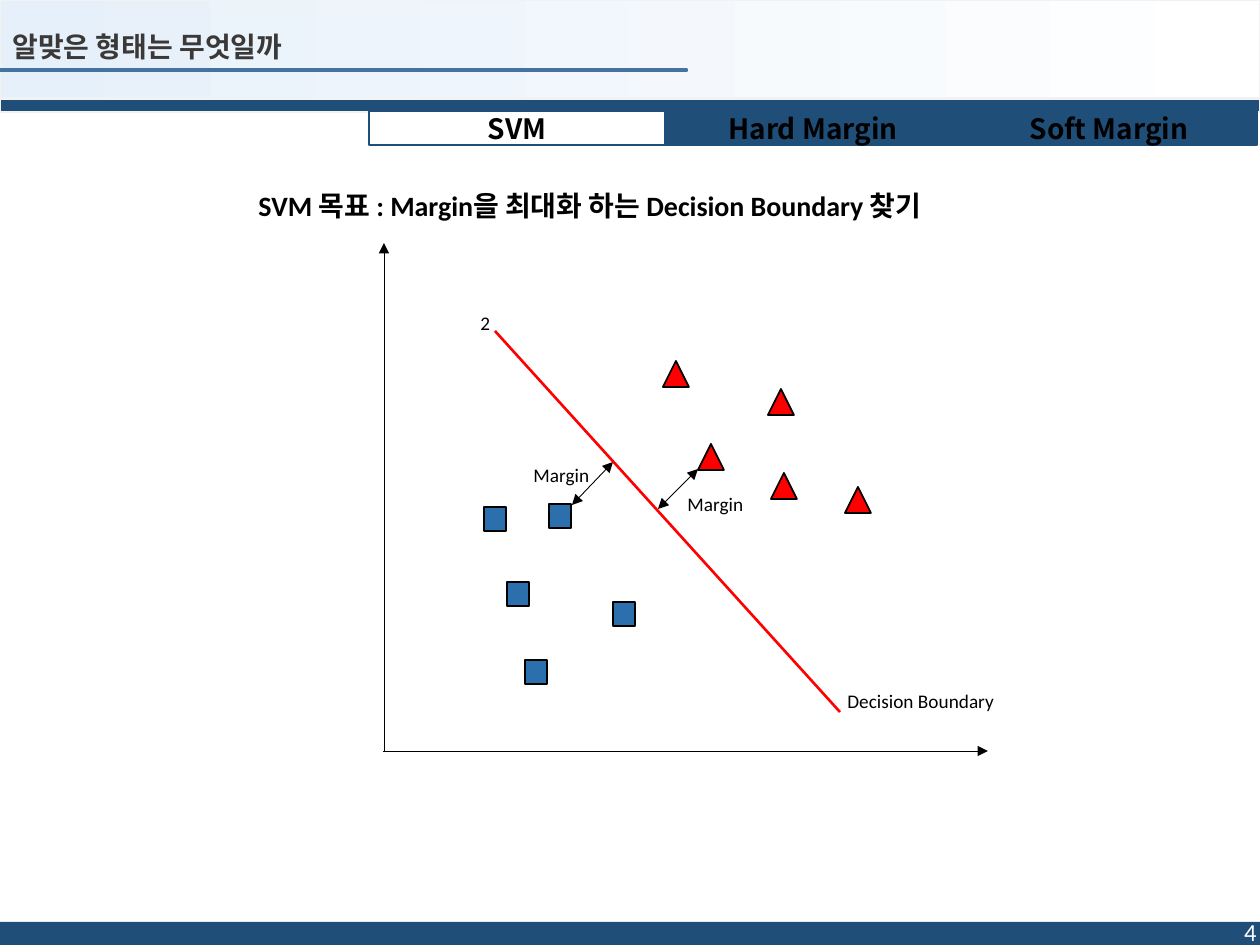
import pptx
import pptx.util
import pptx.oxml
from pptx.dml.color import RGBColor
from pptx.enum.shapes import MSO_CONNECTOR, MSO_SHAPE
from pptx.enum.text import MSO_ANCHOR, PP_ALIGN
from pptx.oxml.ns import qn

PX = 914400 / 126

WHITE = RGBColor(0xFF, 0xFF, 0xFF)
BLACK = RGBColor(0, 0, 0)
NAVY = RGBColor(0x1F, 0x4E, 0x79)
PALE = RGBColor(0xE6, 0xF0, 0xFA)
GREY = RGBColor(0xF2, 0xF2, 0xF2)
DARK = RGBColor(0x3B, 0x38, 0x38)
RULE_FILL = RGBColor(0x5B, 0x9B, 0xD5)
RULE_LINE = RGBColor(0x43, 0x73, 0x9E)
RED = RGBColor(0xFF, 0, 0)
BLUE = RGBColor(0x2C, 0x6F, 0xAD)
KOREAN = "Noto Sans CJK KR"

# Content, in px
TITLE = "알맞은 형태는 무엇일까"
TABS = [("SVM", WHITE), ("Hard Margin", NAVY), ("Soft Margin", NAVY)]
TAB_LEFT, TAB_TOP, TAB_W, TAB_H = 369, 111, 296, 34
TRIANGLES = [(663, 361), (698, 444), (771, 473), (845, 487), (768, 389)]
SQUARES = [(484, 507), (507, 582), (525, 660), (613, 602), (549, 504)]
# start, end, colour, width, arrow at start, arrow at end
LINES = [
    ((572, 505), (613, 462), BLACK, 0.5, True, True),      # margin to squares
    ((658, 509), (698, 469), BLACK, 0.5, True, True),      # margin to triangles
    ((383, 751), (988, 751), BLACK, 0.5, False, True),     # x axis
    ((384, 751), (384, 243), BLACK, 0.5, False, True),     # y axis
    ((495, 331), (840, 712), RED, 1.5, False, False),      # decision boundary
]
# text, box, size, bold
LABELS = [
    ("Margin", (521, 457, 87, 36), 11, False),
    ("Margin", (675, 486, 87, 36), 11, False),
    ("Decision Boundary", (835, 683, 301, 36), 11, False),
    ("2", (468, 305, 38, 59), 11, False),
    ("SVM 목표 : Margin을 최대화 하는 Decision Boundary 찾기",
     (246, 182, 891, 47), 16, True),
]


def emu(*lengths):
    return [round(n * PX) for n in lengths]


def style_text(shape, text, font, size, color, bold=False,
               align=PP_ALIGN.LEFT, anchor=MSO_ANCHOR.TOP):
    tf = shape.text_frame
    tf.text = text
    tf.word_wrap = True
    tf.vertical_anchor = anchor
    p = tf.paragraphs[0]
    p.alignment = align
    r = p.runs[0]
    r.font.name, r.font.size, r.font.bold = font, pptx.util.Pt(size), bold
    r.font.color.rgb = color
    ea = pptx.oxml.parse_xml(
        '<a:ea xmlns:a="http://schemas.openxmlformats.org/drawingml/2006/main" '
        f'typeface="{KOREAN}"/>')
    r.font._element.find(qn("a:latin")).addnext(ea)
    return p


def add_shape(s, kind, box, fill, line=None):
    sp = s.shapes.add_shape(kind, *emu(*box))
    sp.shadow.inherit = False
    if fill is not None:
        sp.fill.solid()
        sp.fill.fore_color.rgb = fill
    if line is None:
        sp.line.fill.background()
    else:
        sp.line.color.rgb = line
        sp.line.width = pptx.util.Pt(1)
    return sp


def add_label(s, text, box, size, color=BLACK, bold=False, **layout):
    tb = s.shapes.add_textbox(*emu(*box))
    style_text(tb, text, "Calibri", size, color, bold, **layout)


def add_line(s, start, end, color, width, head, tail):
    c = s.shapes.add_connector(MSO_CONNECTOR.STRAIGHT, *emu(*start, *end))
    c.line.color.rgb = color
    c.line.width = pptx.util.Pt(width)
    ln = c.line._get_or_add_ln()
    for tag, wanted in (("a:headEnd", head), ("a:tailEnd", tail)):
        if wanted:
            ln.append(ln.makeelement(qn(tag), {"type": "triangle"}))
    ln.addnext(ln.makeelement(qn("a:effectLst"), {}))


def main():
    prs = pptx.Presentation()
    prs.slide_width, prs.slide_height = emu(1260, 945)
    s = prs.slides.add_slide(prs.slide_layouts[5])

    # Header and footer bands
    header = add_shape(s, MSO_SHAPE.RECTANGLE, (0, 0, 1260, 98), None, GREY)
    header.fill.gradient()
    header.fill.gradient_angle = 0
    for stop, color in zip(header.fill.gradient_stops, (PALE, WHITE)):
        stop.color.rgb = color
    add_shape(s, MSO_SHAPE.RECTANGLE, (0, 922, 1260, 23), NAVY)
    add_label(s, "4", (985, 907, 284, 50), 14, WHITE,
              align=PP_ALIGN.RIGHT, anchor=MSO_ANCHOR.MIDDLE)
    add_shape(s, MSO_SHAPE.RECTANGLE, (0, 99, 1260, 13), NAVY, GREY)

    # Tabs, the active one drawn last
    for i, (text, fill) in reversed(list(enumerate(TABS))):
        box = (TAB_LEFT + i * TAB_W, TAB_TOP, TAB_W, TAB_H)
        tab = add_shape(s, MSO_SHAPE.RECTANGLE, box, fill, NAVY)
        style_text(tab, text, KOREAN, 16, BLACK, True,
                   PP_ALIGN.CENTER, MSO_ANCHOR.MIDDLE)

    # Title above its rule, in front of the header band
    add_shape(s, MSO_SHAPE.RECTANGLE, (0, 69, 687, 2), RULE_FILL, RULE_LINE)
    title = s.shapes.title
    title.left, title.top, title.width, title.height = emu(0, 26, 675, 44)
    p = style_text(title, TITLE, "Arial", 16, DARK, True,
                   anchor=MSO_ANCHOR.MIDDLE)
    p.line_spacing = 0.9
    header.element.addnext(title.element)

    # Plot: lines, the two classes, labels
    for line in LINES:
        add_line(s, *line)
    for x, y in TRIANGLES:
        add_shape(s, MSO_SHAPE.ISOSCELES_TRIANGLE, (x, y, 26, 26), RED, BLACK)
    for x, y in SQUARES:
        add_shape(s, MSO_SHAPE.RECTANGLE, (x, y, 22, 24), BLUE, BLACK)
    for text, box, size, bold in LABELS:
        add_label(s, text, box, size, bold=bold)

    prs.save("out.pptx")


if __name__ == "__main__":
    main()
